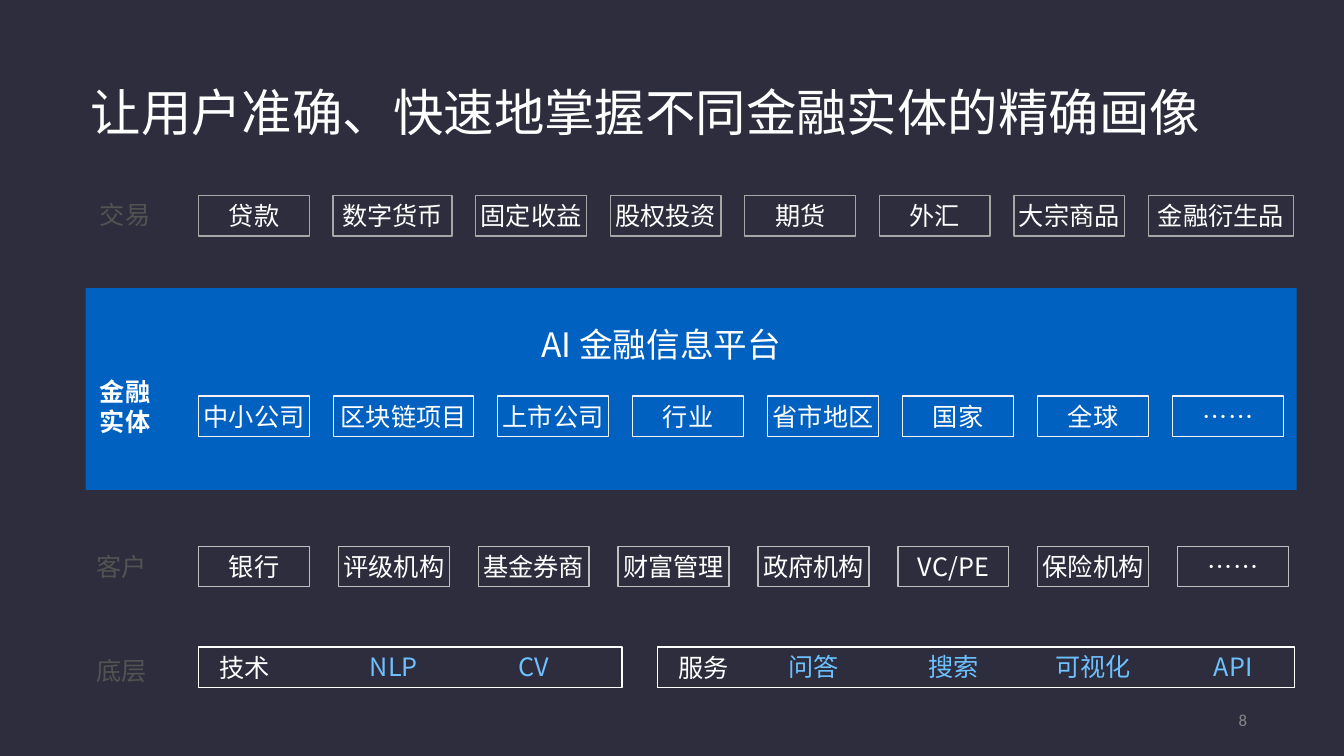
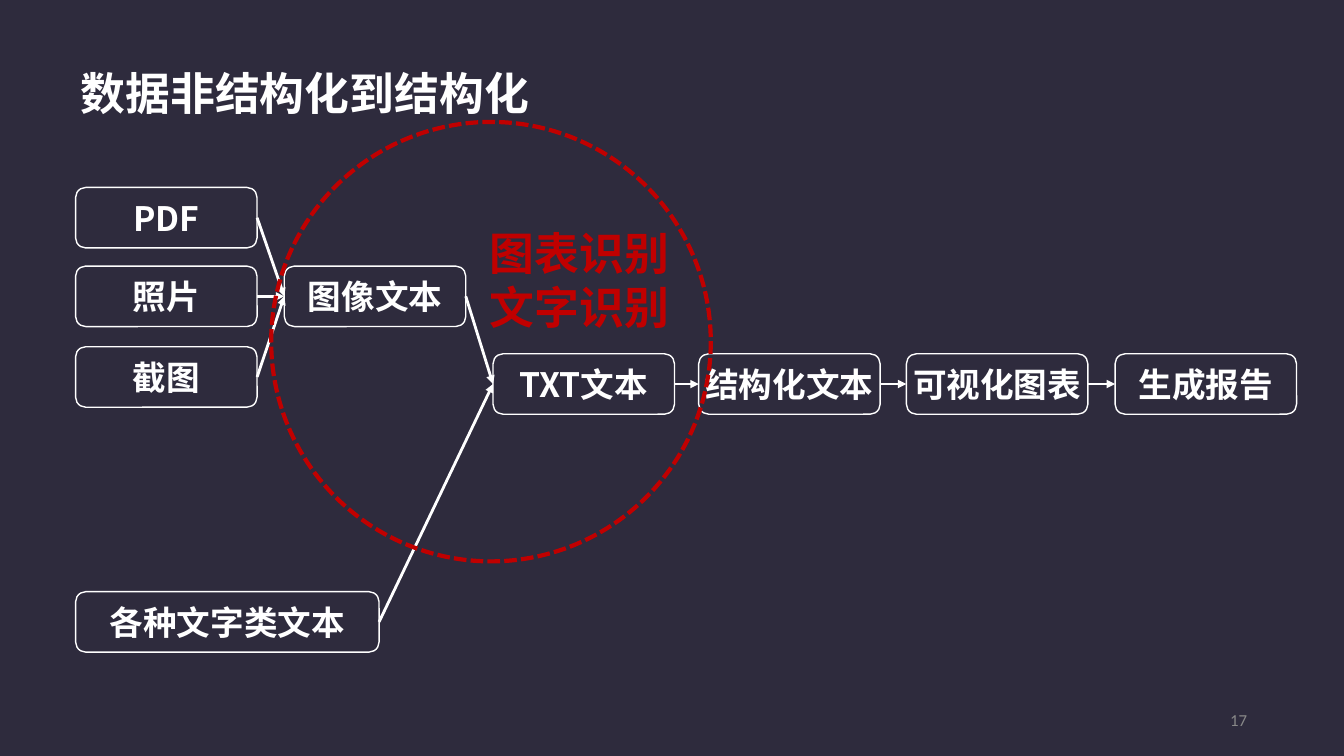
from pptx import Presentation
from pptx.dml.color import RGBColor as RGB
from pptx.enum.dml import MSO_LINE as Dash
from pptx.enum.shapes import MSO_CONNECTOR as Link, MSO_SHAPE as Form
from pptx.enum.text import MSO_ANCHOR as Anchor, PP_ALIGN as Align
from pptx.oxml.ns import qn
from pptx.util import Pt
from lxml.etree import SubElement as sub

PX = 9144  # 100 px to the inch
FONT = "Noto Sans CJK SC"
HUES = {
    "navy": "2D2D3D", "plum": "2E2B3D", "blue": "0061C1", "sky": "6EC1FF",
    "white": "FFFFFF", "pale": "F2F2F2", "silver": "BFBFBF", "grey": "A6A6A6",
    "mute": "888888", "dim": "535353", "red": "C00000",
}
LEFT, CENTER, RIGHT = Align.LEFT, Align.CENTER, Align.RIGHT
WIDE, TALL = 110, 40    # small box
STEP, HIGH = 180, 60    # flow box


def hue(name):
    return RGB.from_string(HUES[name])


def emu(*sizes):
    return [round(size * PX) for size in sizes]


# Text
def write(shape, text, size=18, color="white", bold=False, align=CENTER,
          pad=0, font=FONT):
    frame = shape.text_frame
    frame.word_wrap = True
    frame.vertical_anchor = Anchor.MIDDLE
    frame.margin_top = frame.margin_bottom = 0
    frame.margin_left, = emu(pad if align == LEFT else 0)
    frame.margin_right, = emu(pad if align == RIGHT else 0)
    lines = text.split("\n")
    for i, line in enumerate(lines):
        para = frame.add_paragraph() if i else frame.paragraphs[0]
        para.alignment = align
        if len(lines) > 1:
            para.line_spacing = Pt(size * 1.2)
        run = para.add_run()
        run.text = line
        run.font.name = font
        run.font.size = Pt(size)
        run.font.bold = bold
        run.font.color.rgb = hue(color)
        sub(run.font._element, qn("a:ea")).set("typeface", font)


def label(slide, at, text, align=LEFT, **style):
    box = slide.shapes.add_textbox(*emu(*at))
    write(box, text, align=align, pad=5, **style)


# Shapes
def shape(slide, form, at, fill=None, line=None, width=1):
    item = slide.shapes.add_shape(form, *emu(*at))
    item.shadow.inherit = False
    if fill:
        item.fill.solid()
        item.fill.fore_color.rgb = hue(fill)
    else:
        item.fill.background()
    if line:
        item.line.color.rgb = hue(line)
        item.line.width = Pt(width)
    else:
        item.line.fill.background()
    return item


def row(slide, top, right, words, color=None, sizes={}):
    """Spread words with equal gaps; a color gives each one a frame."""
    left = 197
    spans = [sizes.get(word, WIDE) for word in words]
    gap = (right - left - sum(spans)) / (len(words) - 1)
    for word, span in zip(words, spans):
        at = (left, top, span, TALL)
        if color:
            write(shape(slide, Form.RECTANGLE, at, line=color), word)
        elif word:
            label(slide, at, word, align=CENTER, color="sky")
        left += span + gap


def node(slide, left, top, text, wide=STEP):
    item = shape(slide, Form.ROUNDED_RECTANGLE, (left, top, wide, HIGH),
                 line="white")
    write(item, text, size=24, bold=True)
    return item


def arrow(slide, start, end):
    link = slide.shapes.add_connector(Link.STRAIGHT, 0, 0, 0, 0)
    link.begin_connect(start, 3)
    link.end_connect(end, 1)
    link.line.color.rgb = hue("white")
    link.line.width = Pt(2)
    sub(link.line._get_or_add_ln(), qn("a:tailEnd")).set("type", "triangle")
    sub(link._element.spPr, qn("a:effectLst"))


# Shared frame of a slide
def page(deck, back, number, title, at, **style):
    slide = deck.slides.add_slide(deck.slide_layouts[6])
    slide.background.fill.solid()
    slide.background.fill.fore_color.rgb = hue(back)
    label(slide, at, title, **style)
    label(slide, (1213, 700, 29, 29), number, size=12, color="mute",
          align=RIGHT, font="Calibri")
    return slide


def layers(deck):
    slide = page(deck, "navy", "8", "让用户准确、快速地掌握不同金融实体的精确画像",
                 (85, 74, 1121, 72), size=36)
    # Platform band
    shape(slide, Form.RECTANGLE, (85, 286, 1201, 200), fill="blue")
    label(slide, (532, 316, 270, 50), "AI 金融信息平台", size=24)
    # Row names
    for left, top, name in ((94, 193, "交易"), (91, 542, "客户"),
                            (91, 645, "底层")):
        label(slide, (left, top, 61, TALL), name, color="dim")
    label(slide, (94, 368, 61, 71), "金融\n实体", bold=True)
    # Rows of boxes
    row(slide, 194, 1283,
        ["贷款", "数字货币", "固定收益", "股权投资", "期货", "外汇", "大宗商品",
         "金融衍生品"], "grey", {"数字货币": 118, "金融衍生品": 144})
    row(slide, 393, 1273,
        ["中小公司", "区块链项目", "上市公司", "行业", "省市地区", "国家", "全球",
         "……"], "pale", {"区块链项目": 139})
    row(slide, 542, 1278,
        ["银行", "评级机构", "基金券商", "财富管理", "政府机构", "VC/PE",
         "保险机构", "……"], "silver")
    # Base layer
    for left, wide, name in ((197, 420, "技术"), (652, 632, "服务")):
        bar = shape(slide, Form.RECTANGLE, (left, 642, wide, TALL),
                    line="white")
        write(bar, name, align=LEFT, pad=21)
    row(slide, 641, 1278,
        ["", "NLP", "CV", "", "问答", "搜索", "可视化", "API"])


def flow(deck):
    slide = page(deck, "plum", "17", "数据非结构化到结构化",
                 (75, 60, 472, 64), size=32, bold=True)
    # Boxes
    scans = [node(slide, 75, top, text) for top, text in
             ((186, "PDF"), (264, "照片"), (344, "截图"))]
    texts = node(slide, 75, 587, "各种文字类文本", 301)
    image = node(slide, 282, 264, "图像文本")
    chain = [node(slide, left, 351, text) for left, text in
             ((489, "TXT文本"), (693, "结构化文本"), (899, "可视化图表"),
              (1106, "生成报告"))]
    # Arrows
    for scan in scans:
        arrow(slide, scan, image)
    for start, end in zip([image, texts] + chain, chain[:1] + chain):
        arrow(slide, start, end)
    # Highlight
    ring = shape(slide, Form.OVAL, (269, 121, 436, 436), line="red", width=3)
    ring.line.dash_style = Dash.SQUARE_DOT
    label(slide, (481, 218, 190, 118), "图表识别\n文字识别", size=32,
          color="red", bold=True)


def main():
    deck = Presentation()
    deck.slide_width, deck.slide_height = emu(1333, 750)
    layers(deck)
    flow(deck)
    deck.save("out.pptx")


if __name__ == "__main__":
    main()
